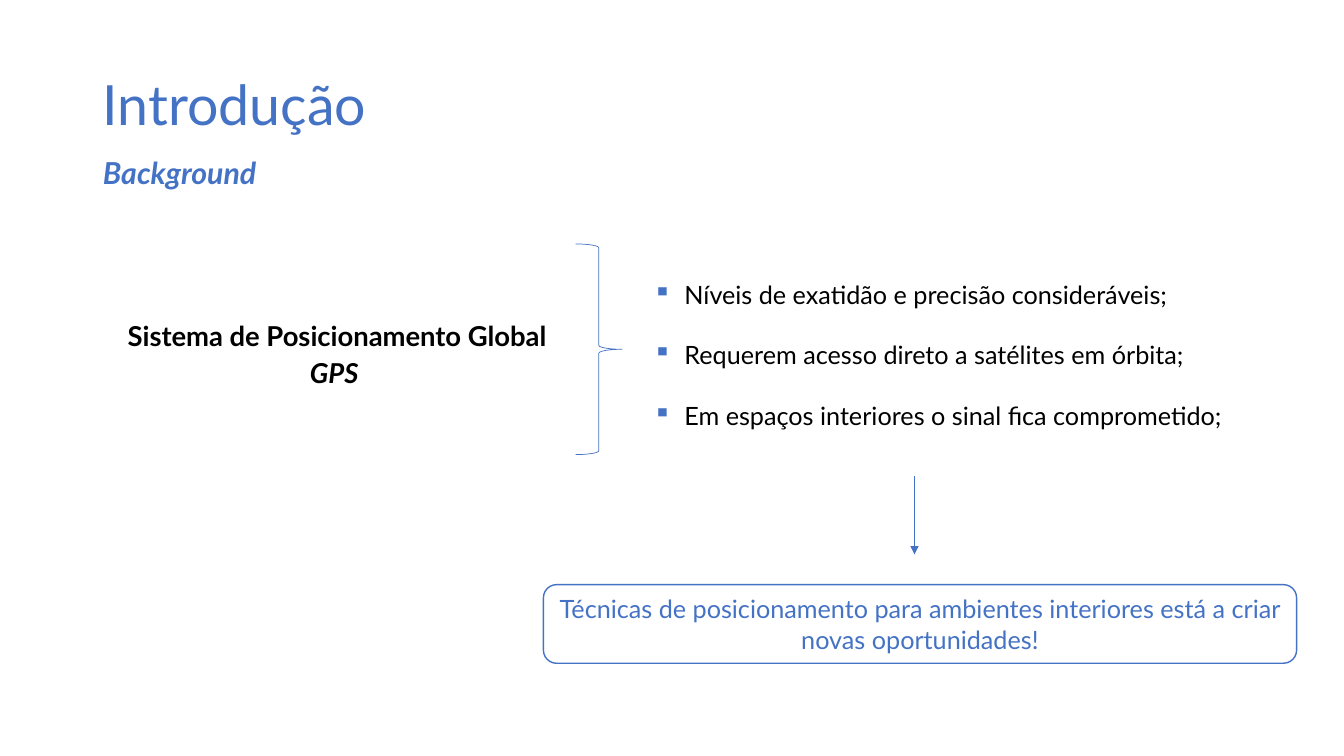
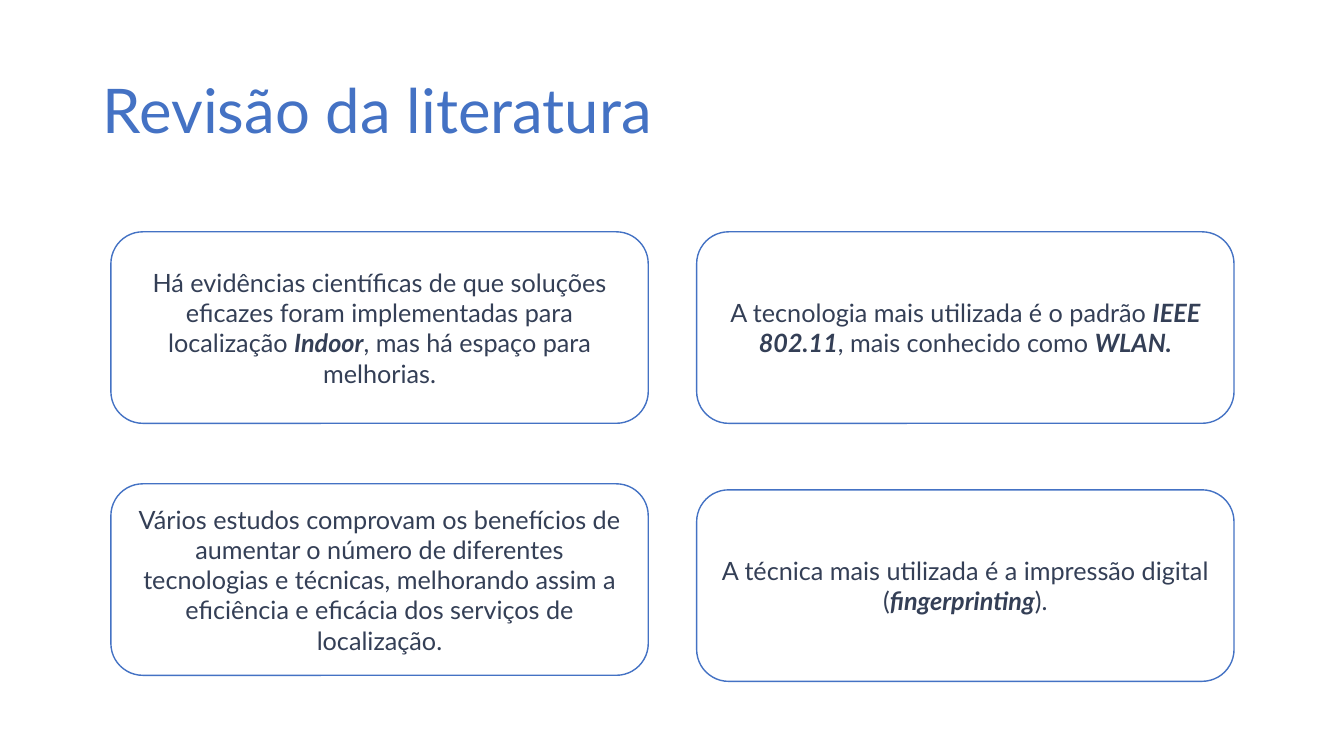
from copy import deepcopy
from dataclasses import dataclass

from lxml.etree import SubElement
from pptx import Presentation
from pptx.dml.color import RGBColor
from pptx.enum.shapes import MSO_CONNECTOR, MSO_SHAPE
from pptx.enum.text import MSO_ANCHOR, MSO_AUTO_SIZE, PP_ALIGN
from pptx.oxml.ns import qn
from pptx.util import Inches, Pt

FONT = "Lato"
COLORS = {"accent": "4472C4", "text": "000000", "card": "343F56"}


@dataclass(frozen=True)
class Box:
    left: float
    top: float
    width: float
    height: float

    def emu(self) -> tuple:
        return tuple(Inches(v) for v in (self.left, self.top, self.width, self.height))


@dataclass(frozen=True)
class Span:
    text: str
    size: float = 18
    bold: bool = False
    italic: bool = False


@dataclass(frozen=True)
class Card:
    top: float
    spans: tuple


TITLE_BOX = Box(0.92, 0.4, 11.5, 1.45)


def rgb(name: str) -> RGBColor:
    return RGBColor.from_string(COLORS[name])


def strong(text: str) -> Span:
    return Span(text, bold=True, italic=True)


# Text
def write(p, spans, *, color="text", align=PP_ALIGN.LEFT, spacing=1.0, before=0):
    """Fill a paragraph; a newline ending a span becomes a line break."""
    p.alignment, p.line_spacing, p.space_before = align, spacing, Pt(before)
    for span in spans:
        r = p.add_run()
        r.text = span.text.rstrip("\n")
        font = r.font
        font.name, font.size = FONT, Pt(span.size)
        font.bold, font.italic = span.bold, span.italic
        font.color.rgb = rgb(color)
        if span.text.endswith("\n"):
            p.add_line_break()
            p._p[-1].append(deepcopy(r._r.rPr))


def write_all(tf, paragraphs, **fmt):
    for i, spans in enumerate(paragraphs):
        p = tf.add_paragraph() if i else tf.paragraphs[0]
        write(p, spans, **fmt)


def add_bullet(p, char: str = "▪", indent: float = 0.31):
    pPr = p._p.get_or_add_pPr()
    pPr.set("marL", str(Inches(indent)))
    pPr.set("indent", str(-Inches(indent)))
    color = SubElement(pPr, qn("a:buClr"))
    SubElement(color, qn("a:srgbClr"), val=COLORS["accent"])
    SubElement(pPr, qn("a:buChar"), char=char)


# Slide parts
def add_slide(prs, spans, spacing: float):
    slide = prs.slides.add_slide(prs.slide_layouts[5])
    title = slide.shapes.title
    title.left, title.top, title.width, title.height = TITLE_BOX.emu()
    tf = title.text_frame
    tf.auto_size, tf.vertical_anchor = MSO_AUTO_SIZE.NONE, MSO_ANCHOR.MIDDLE
    write(tf.paragraphs[0], spans, color="accent", spacing=spacing)
    return slide


def add_text(slide, box: Box, paragraphs, **fmt):
    tf = slide.shapes.add_textbox(*box.emu()).text_frame
    tf.word_wrap = True
    write_all(tf, paragraphs, **fmt)
    return tf


def add_outline(slide, kind, box: Box, weight: float):
    sp = slide.shapes.add_shape(kind, *box.emu())
    sp.shadow.inherit = False
    sp.fill.background()
    sp.line.color.rgb, sp.line.width = rgb("accent"), Pt(weight)
    return sp


def add_card(slide, box: Box, spans, color: str):
    tf = add_outline(slide, MSO_SHAPE.ROUNDED_RECTANGLE, box, 1).text_frame
    tf.word_wrap, tf.vertical_anchor = True, MSO_ANCHOR.MIDDLE
    write_all(tf, [spans], color=color, align=PP_ALIGN.CENTER)


def add_down_arrow(slide, x: float, top: float, bottom: float):
    line = slide.shapes.add_connector(
        MSO_CONNECTOR.STRAIGHT, Inches(x), Inches(top), Inches(x), Inches(bottom))
    line.line.color.rgb, line.line.width = rgb("accent"), Pt(0.5)
    SubElement(line.line._get_or_add_ln(), qn("a:tailEnd"), type="triangle")
    SubElement(line._element.spPr, qn("a:effectLst"))


# Slides
def build_introduction(prs):
    slide = add_slide(
        prs, [Span("Introdução\n", 39.6), Span("Background", 21.6, True, True)], 1.5)
    add_text(
        slide, Box(1.08, 3.21, 4.53, 0.94),
        [[Span("Sistema de Posicionamento Global", 19.6, True)],
         [Span("GPS ", 19.6, True, True)]],
        align=PP_ALIGN.CENTER, spacing=0.7, before=10)
    add_outline(slide, MSO_SHAPE.RIGHT_BRACE, Box(5.71, 2.42, 0.46, 2.09), 0.5)
    points = ("Níveis de exatidão e precisão consideráveis;",
              "Requerem acesso direto a satélites em órbita;",
              "Em espaços interiores o sinal fica comprometido;")
    tf = add_text(slide, Box(6.38, 2.42, 6.18, 2.52),
                  [[Span(point)] for point in points], spacing=2.0)
    for p in tf.paragraphs:
        add_bullet(p)
    add_down_arrow(slide, 9.07, 4.72, 5.5)
    add_card(slide, Box(5.39, 5.8, 7.47, 0.78),
             [Span("Técnicas de posicionamento para ambientes interiores "
                   "está a criar novas oportunidades!")], "accent")


def build_literature(prs):
    slide = add_slide(prs, [Span("Revisão da literatura", 44)], 0.9)
    left, width, height, gap = 1.1, 5.33, 1.9, 0.48
    cards = (
        Card(2.3, (Span("Há evidências científicas de que soluções eficazes foram "
                        "implementadas para localização "),
                   strong("Indoor"), Span(", mas há espaço para melhorias."))),
        Card(2.3, (Span("A tecnologia mais utilizada é o padrão "),
                   strong("IEEE 802.11"), Span(", mais conhecido como "),
                   strong("WLAN."))),
        Card(4.8, (Span("Vários estudos comprovam os benefícios de aumentar o número "
                        "de diferentes tecnologias e técnicas, melhorando assim a "
                        "eficiência e eficácia dos serviços de localização."),)),
        Card(4.86, (Span("A técnica mais utilizada é a impressão digital ("),
                    strong("fingerprinting"), Span(")."))),
    )
    for i, card in enumerate(cards):
        x = left + i % 2 * (width + gap)
        add_card(slide, Box(x, card.top, width, height), card.spans, "card")


def main():
    prs = Presentation()
    prs.slide_width, prs.slide_height = Inches(13.33), Inches(7.5)
    build_introduction(prs)
    build_literature(prs)
    prs.save("out.pptx")


if __name__ == "__main__":
    main()
